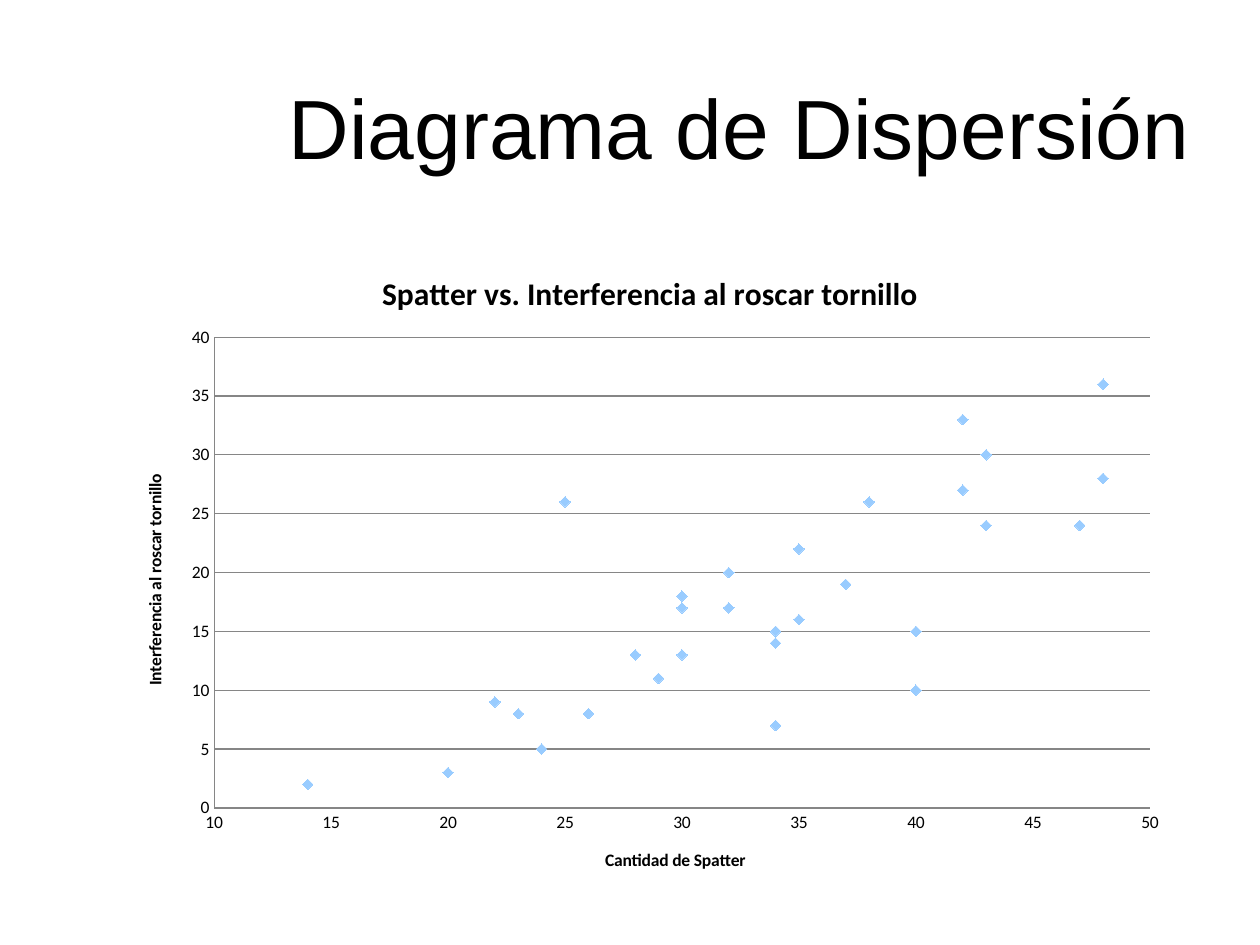
"""Build a slide with a scatter chart of spatter against screw interference."""
from lxml import etree
from pptx import Presentation
from pptx import util as u
from pptx.chart.data import XyChartData
from pptx.dml.color import RGBColor
from pptx.enum import chart as kinds, text

BLACK = RGBColor(0x00, 0x00, 0x00)
GREY = RGBColor(0x86, 0x86, 0x86)
SKY = RGBColor(0x99, 0xCC, 0xFF)

SPATTER = [30, 25, 48, 43, 34, 30, 23, 40, 34, 26, 14, 48, 32, 43, 29,
           24, 37, 34, 32, 40, 22, 35, 38, 47, 42, 30, 20, 35, 42, 28]
INTERFERENCE = [13, 26, 28, 30, 7, 18, 8, 10, 15, 8, 2, 36, 17, 24, 11,
                5, 19, 14, 20, 15, 9, 22, 26, 24, 33, 17, 3, 16, 27, 13]
PLOT_LAYOUT = {"xMode": "edge", "yMode": "edge", "x": 0.09, "y": 0.14, "w": 0.88, "h": 0.72}


def add_text(frame, words, size, font, bold):
    para = frame.paragraphs[0]
    span = para.add_run()
    span.text = words
    span.font.size = u.Pt(size)
    span.font.name = font
    span.font.bold = bold
    span.font.color.rgb = BLACK
    return para


deck = Presentation()
deck.slide_width = u.Inches(10)
deck.slide_height = u.Inches(7.5)
page = deck.slides.add_slide(deck.slide_layouts[5])

title = page.shapes.title
title.left, title.top = u.Inches(2.19), u.Inches(0.55)
title.width, title.height = u.Inches(7.43), u.Inches(0.91)
title.text_frame.word_wrap = False
title.text_frame.auto_size = text.MSO_AUTO_SIZE.SHAPE_TO_FIT_TEXT
title.text_frame.vertical_anchor = text.MSO_ANCHOR.TOP
heading = add_text(title.text_frame, "Diagrama de Dispersión", 48, "Arial", False)
heading.alignment = text.PP_ALIGN.LEFT

data = XyChartData()
points = data.add_series("Series 1")
for spatter, interference in zip(SPATTER, INTERFERENCE):
    points.add_data_point(spatter, interference)

chart = page.shapes.add_chart(
    kinds.XL_CHART_TYPE.XY_SCATTER, u.Inches(0.94), u.Inches(1.95),
    u.Inches(8.44), u.Inches(5.19), data).chart
chart.font.name = "Calibri"
chart.font.size = u.Pt(10)
chart.font.color.rgb = BLACK
chart.has_legend = False
chart.has_title = True
add_text(chart.chart_title.text_frame, "Spatter vs. Interferencia al roscar tornillo",
         18, "Calibri", True)
chart.chart_title.include_in_layout = False

series = chart.plots[0].series[0]
chart.plots[0].vary_by_categories = False
series.smooth = False
series.format.line.fill.background()
series.marker.style = kinds.XL_MARKER_STYLE.DIAMOND
series.marker.size = 6
series.marker.format.fill.solid()
series.marker.format.fill.fore_color.rgb = SKY
series.marker.format.line.color.rgb = SKY

for axis, label, low, high in (
        (chart.category_axis, "Cantidad de Spatter", 10, 50),
        (chart.value_axis, "Interferencia al roscar tornillo", 0, 40)):
    axis.minimum_scale = low
    axis.maximum_scale = high
    axis.major_unit = 5
    axis.major_tick_mark = kinds.XL_TICK_MARK.NONE
    axis.minor_tick_mark = kinds.XL_TICK_MARK.NONE
    axis.format.line.color.rgb = GREY
    axis.format.line.width = u.Pt(0.75)
    axis.has_title = True
    add_text(axis.axis_title.text_frame, label, 10, "Calibri", True)

chart.category_axis.has_major_gridlines = False
chart.value_axis.has_major_gridlines = True
grid = chart.value_axis.major_gridlines.format.line
grid.color.rgb = GREY
grid.width = u.Pt(0.75)

space = "{http://schemas.openxmlformats.org/drawingml/2006/chart}"
area = chart.element.find(f".//{space}plotArea")
for old in area.findall(f"{space}layout"):
    area.remove(old)
layout = etree.Element(f"{space}layout")
area.insert(0, layout)
manual = etree.SubElement(layout, f"{space}manualLayout")
etree.SubElement(manual, f"{space}layoutTarget", val="inner")
for name, amount in PLOT_LAYOUT.items():
    etree.SubElement(manual, f"{space}{name}", val=str(amount))

deck.save("out.pptx")
